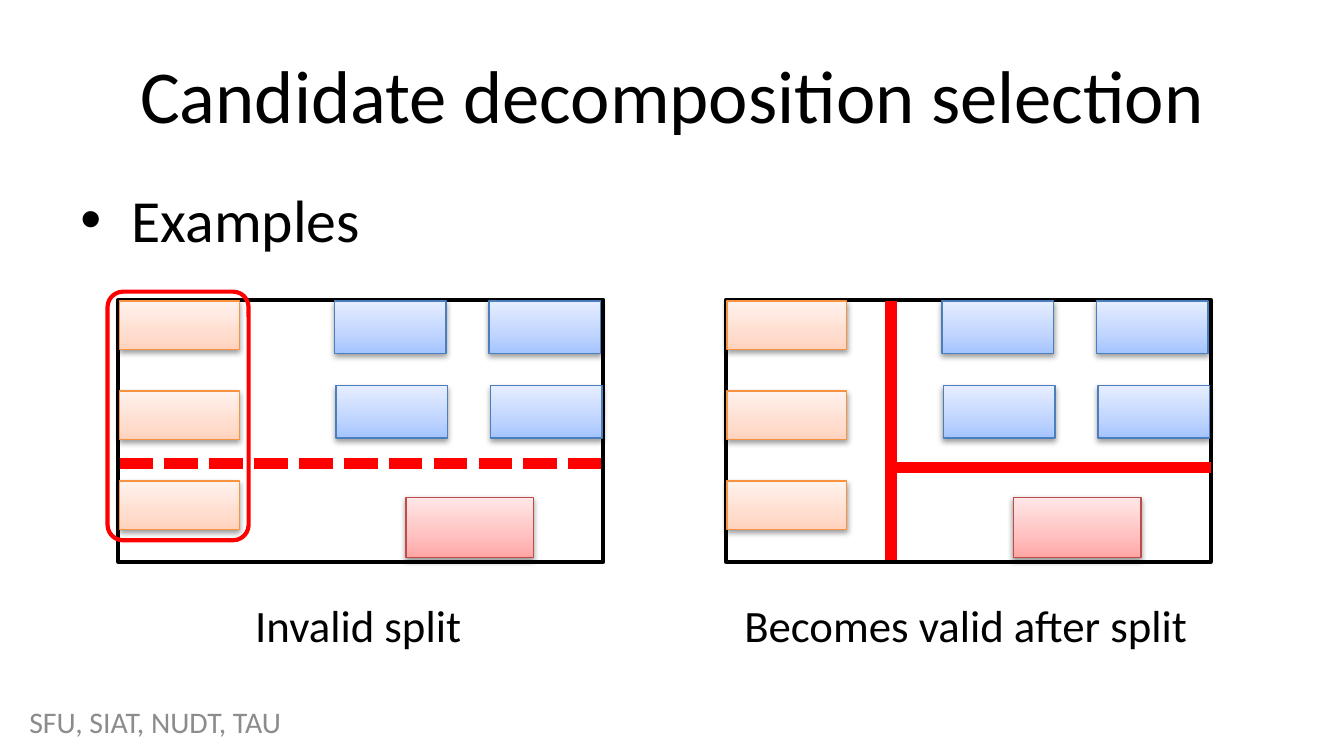
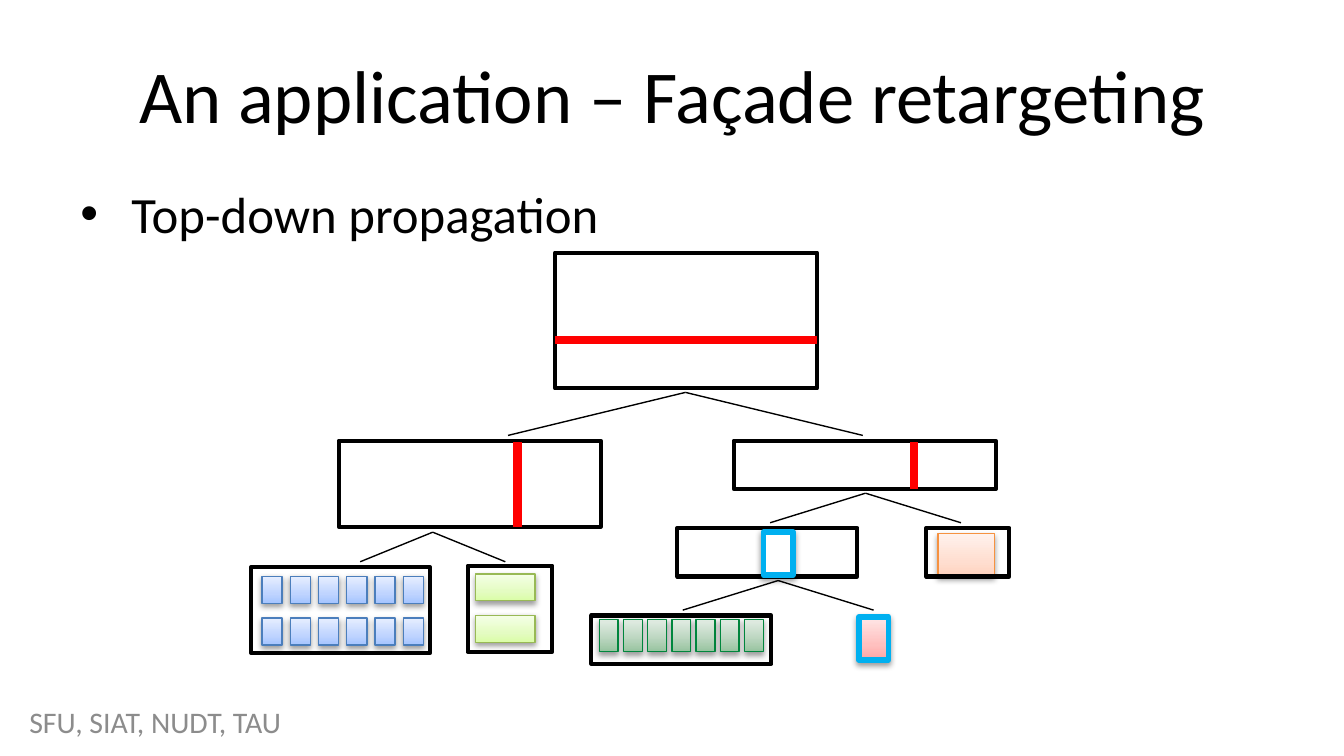
from collections import namedtuple
from copy import deepcopy

from lxml.etree import SubElement
from pptx import Presentation
from pptx.dml.color import RGBColor
from pptx.enum.dml import MSO_LINE
from pptx.enum.shapes import MSO_CONNECTOR, MSO_SHAPE
from pptx.enum.text import MSO_ANCHOR, PP_ALIGN
from pptx.oxml.ns import qn
from pptx.util import Inches, Pt

Box = namedtuple("Box", "left top width height")

FONT = "Calibri"
FOOTER = "SFU, SIAT, NUDT, TAU"
COLORS = {
    "text": "000000",
    "footer": "8C8C8C",
    "frame": "000000",
    "split": "FF0000",
    "highlight": "00B0F0",
    "white": "FFFFFF",
    "shadow": "000000",
    "blue dark": "A4C4FF",
    "blue middle": "BFD4FF",
    "blue light": "E6EEFF",
    "blue line": "4B7EBC",
    "red dark": "FFA6A5",
    "red middle": "FFC0BF",
    "red light": "FFE7E7",
    "red line": "BF4C48",
    "orange dark": "FFD2BD",
    "orange middle": "FFDED0",
    "orange light": "FFF2ED",
    "orange line": "F69240",
    "lime dark": "DAFDA7",
    "lime middle": "E4FCC2",
    "lime light": "F5FFE7",
    "lime line": "98B955",
    "green dark": "97C39F",
    "green middle": "C1D9C5",
    "green light": "E1ECE3",
    "green line": "00863D",
}


def rgb(name):
    """Return the named colour."""
    return RGBColor.from_string(COLORS[name])


def add_text(slide, box, text, size, color="text", align=PP_ALIGN.LEFT,
             anchor=MSO_ANCHOR.TOP, bullet=False):
    """Add a one-paragraph text box, optionally bulleted."""
    shape = slide.shapes.add_textbox(*map(Inches, box))
    frame = shape.text_frame
    frame.word_wrap = True
    frame.vertical_anchor = anchor
    paragraph = frame.paragraphs[0]
    paragraph.alignment = align
    if bullet:
        properties = paragraph._p.get_or_add_pPr()
        properties.set("marL", str(Inches(0.38)))
        properties.set("indent", str(-Inches(0.38)))
        SubElement(properties, qn("a:buFont"), typeface="Arial")
        SubElement(properties, qn("a:buChar"), char="•")
    run = paragraph.add_run()
    run.text = text
    run.font.name = FONT
    run.font.size = Pt(size)
    run.font.color.rgb = rgb(color)


def add_outline(slide, box, color="frame", weight=2.25, kind=MSO_SHAPE.RECTANGLE):
    """Add an unfilled shape with a coloured outline."""
    shape = slide.shapes.add_shape(kind, *map(Inches, box))
    shape.shadow.inherit = False
    shape.fill.background()
    shape.line.color.rgb = rgb(color)
    shape.line.width = Pt(weight)
    return shape


def add_shadow(shape):
    """Give a shape a soft shadow below it."""
    effects = shape._element.spPr.find(qn("a:effectLst"))
    shadow = SubElement(effects, qn("a:outerShdw"), blurRad=str(Pt(3.1)),
                        dist=str(Pt(1.6)), dir="5400000", rotWithShape="0")
    color = SubElement(shadow, qn("a:srgbClr"), val=COLORS["shadow"])
    SubElement(color, qn("a:alpha"), val="38000")


def fill_gradient(shape, tint):
    """Fill a shape with a three-stop tint, darkest at the bottom."""
    shape.fill.gradient()
    shape.fill.gradient_angle = 90
    stop_list = shape._element.spPr.find(qn("a:gradFill")).find(qn("a:gsLst"))
    stop_list.insert(1, deepcopy(stop_list[0]))
    positions = (0, 0.5 if tint == "green" else 0.35, 1)
    parts = ("dark", "middle", "light")
    for stop, position, part in zip(shape.fill.gradient_stops, positions, parts):
        stop.position = position
        stop.color.rgb = rgb(f"{tint} {part}")


def add_window(slide, box, tint):
    """Add a shaded facade window."""
    shape = add_outline(slide, box, f"{tint} line", 0.75)
    fill_gradient(shape, tint)
    add_shadow(shape)


def add_highlighted_window(slide, box, tint=None):
    """Add a window with a thick bright outline, white unless tinted."""
    shape = add_outline(slide, box, "highlight", 3)
    if tint:
        fill_gradient(shape, tint)
    else:
        shape.fill.solid()
        shape.fill.fore_color.rgb = rgb("white")
    add_shadow(shape)


def add_line(slide, start, end, color="split", weight=6):
    """Add a straight line between two points."""
    connector = slide.shapes.add_connector(
        MSO_CONNECTOR.STRAIGHT, *map(Inches, (*start, *end)))
    SubElement(connector._element.spPr, qn("a:effectLst"))
    connector.line.color.rgb = rgb(color)
    connector.line.width = Pt(weight)
    return connector


def start_slide(presentation, title, bullet, bullet_size):
    """Add a blank slide with its title, bullet and footer."""
    slide = presentation.slides.add_slide(presentation.slide_layouts[6])
    add_text(slide, Box(0.5, 0.23, 9, 0.94), title, 40,
             align=PP_ALIGN.CENTER, anchor=MSO_ANCHOR.MIDDLE)
    add_text(slide, Box(0.5, 1.31, 9, 0.49), bullet, bullet_size, bullet=True)
    add_text(slide, Box(0.12, 5.22, 2.36, 0.3), FOOTER, 16, "footer",
             anchor=MSO_ANCHOR.MIDDLE)
    return slide


def add_facade(slide, box, caption):
    """Draw a facade of eight windows with a caption below."""
    left, top = box.left, box.top
    add_outline(slide, box, weight=2)
    for row in range(3):
        add_window(slide, Box(left + 0.01, top + 0.01 + row * 0.67, 0.89, 0.36), "orange")
    for row in range(2):
        for column in range(2):
            add_window(slide, Box(left + 1.61 + column * 1.15 + row * 0.01,
                                  top + 0.01 + row * 0.63, 0.83, 0.39), "blue")
    add_window(slide, Box(left + 2.14, top + 1.47, 0.95, 0.45), "red")
    add_text(slide, Box(left - 0.26, top + 2.17, 4.09, 0.5), caption, 24,
             align=PP_ALIGN.CENTER)


def add_invalid_split(slide, box):
    """Draw a facade whose dashed split cuts the circled column."""
    add_facade(slide, box, "Invalid split")
    height = box.top + 1.22
    line = add_line(slide, (box.left + 0.01, height), (box.left + 3.59, height))
    line.line.dash_style = MSO_LINE.SQUARE_DOT
    column = add_outline(slide, Box(box.left - 0.08, box.top - 0.06, 1.05, 1.85),
                         "split", 2.25, MSO_SHAPE.ROUNDED_RECTANGLE)
    column.adjustments[0] = 0.11


def add_valid_split(slide, box):
    """Draw a facade split first vertically, then horizontally."""
    add_facade(slide, box, "Becomes valid after split")
    left, top = box.left, box.top
    add_line(slide, (left + 1.24, top + 1.25), (left + box.width, top + 1.25))
    add_line(slide, (left + 1.23, top + 0.01), (left + 1.23, top + 1.94))


def add_branch(slide, apex, spread, drop):
    """Draw two lines from a parent down to its children."""
    x, y = apex
    for side in (-1, 1):
        add_line(slide, apex, (x + side * spread, y + drop), "frame", 0.75)


def add_split_node(slide, box, x=None, y=None):
    """Draw a node with a split at x across or y down from its corner."""
    add_outline(slide, box)
    if x is not None:
        across = box.left + x
        add_line(slide, (across, box.top + 0.01),
                 (across, box.top + box.height), weight=4.5)
    if y is not None:
        down = box.top + y
        add_line(slide, (box.left, down), (box.left + box.width, down), weight=4.5)


def add_grid_node(slide, box, tint, first, columns=1, rows=1, pitch=(0, 0)):
    """Draw a node holding a grid of windows, with first relative to the node."""
    for row in range(rows):
        for column in range(columns):
            add_window(slide, Box(box.left + first.left + column * pitch[0],
                                  box.top + first.top + row * pitch[1],
                                  first.width, first.height), tint)
    add_outline(slide, box)


def add_tree(slide, box):
    """Draw the tree of splits from the whole facade to its windows."""
    left, top = box.left, box.top

    def inside(x, y, width, height):
        """Place a box relative to the tree."""
        return Box(left + x, top + y, width, height)

    add_split_node(slide, inside(2.26, 0, 1.95, 1.01), y=0.65)
    add_split_node(slide, inside(0.65, 1.4, 1.95, 0.64), x=1.33)
    add_split_node(slide, inside(3.59, 1.4, 1.95, 0.36), x=1.34)
    add_grid_node(slide, inside(0, 2.34, 1.33, 0.64), "blue",
                  Box(0.08, 0.07, 0.15, 0.2), 6, 2, (0.21, 0.31))
    add_grid_node(slide, inside(1.61, 2.33, 0.63, 0.64), "lime",
                  Box(0.06, 0.06, 0.44, 0.2), rows=2, pitch=(0, 0.31))
    add_grid_node(slide, inside(5.02, 2.05, 0.62, 0.36), "orange",
                  Box(0.09, 0.04, 0.42, 0.32))
    add_grid_node(slide, inside(2.53, 2.7, 1.34, 0.36), "green",
                  Box(0.06, 0.03, 0.14, 0.24), 7, pitch=(0.18, 0))
    add_outline(slide, inside(3.17, 2.05, 1.34, 0.36))
    add_highlighted_window(slide, inside(3.81, 2.08, 0.22, 0.32))
    add_highlighted_window(slide, inside(4.52, 2.71, 0.22, 0.32), "red")

    for x, y, spread, drop in ((3.23, 1.04, 1.32, 0.32), (1.35, 2.08, 0.54, 0.22),
                               (4.57, 1.79, 0.71, 0.22), (3.92, 2.44, 0.71, 0.22)):
        add_branch(slide, (left + x, top + y), spread, drop)


def add_selection_slide(presentation):
    """Build the slide comparing an invalid and a valid split."""
    slide = start_slide(presentation, "Candidate decomposition selection", "Examples", 32)
    add_invalid_split(slide, Box(0.88, 2.23, 3.61, 1.95))
    add_valid_split(slide, Box(5.4, 2.23, 3.61, 1.95))


def add_retargeting_slide(presentation):
    """Build the slide with the propagation tree."""
    slide = start_slide(presentation, "An application – Façade retargeting",
                        "Top-down propagation", 27.2)
    add_tree(slide, Box(1.87, 1.88, 5.64, 3.06))


def main():
    """Build and save the presentation."""
    presentation = Presentation()
    presentation.slide_width = Inches(10)
    presentation.slide_height = presentation.slide_width * 9 // 16
    add_selection_slide(presentation)
    add_retargeting_slide(presentation)
    presentation.save("out.pptx")


if __name__ == "__main__":
    main()
